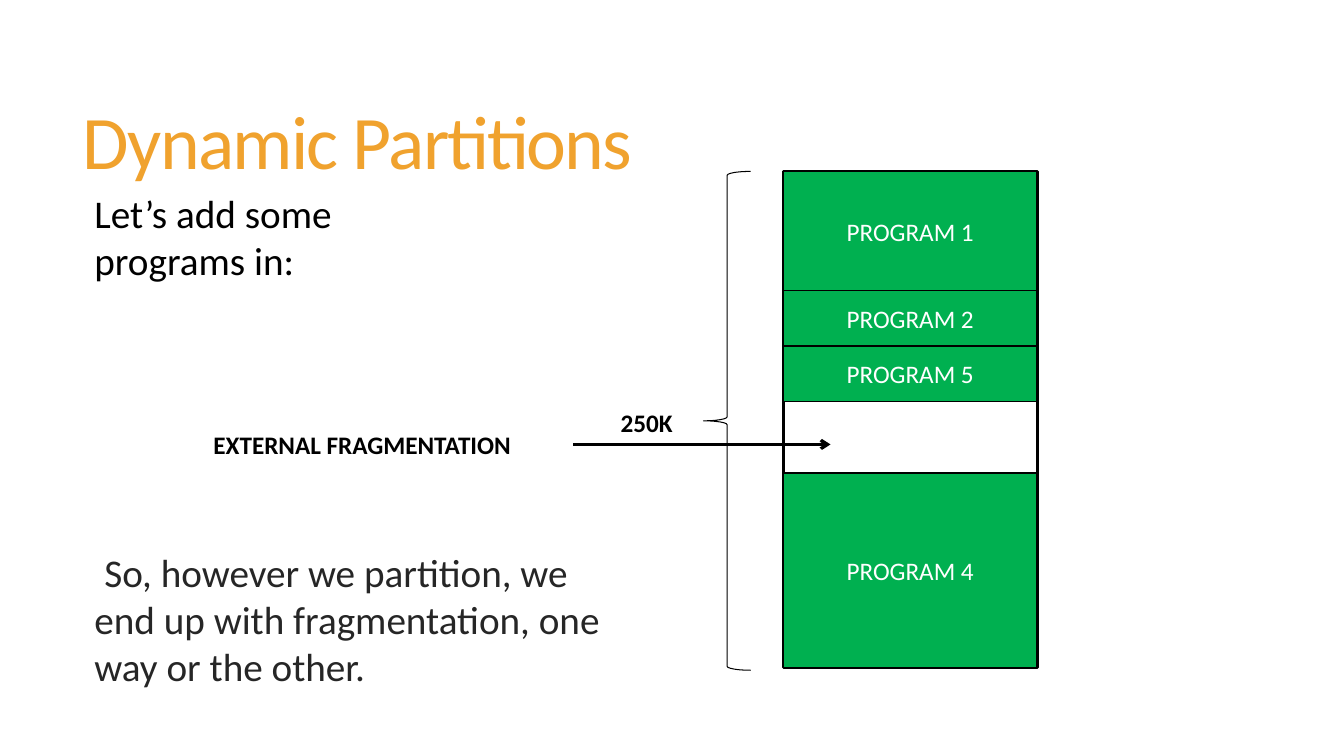
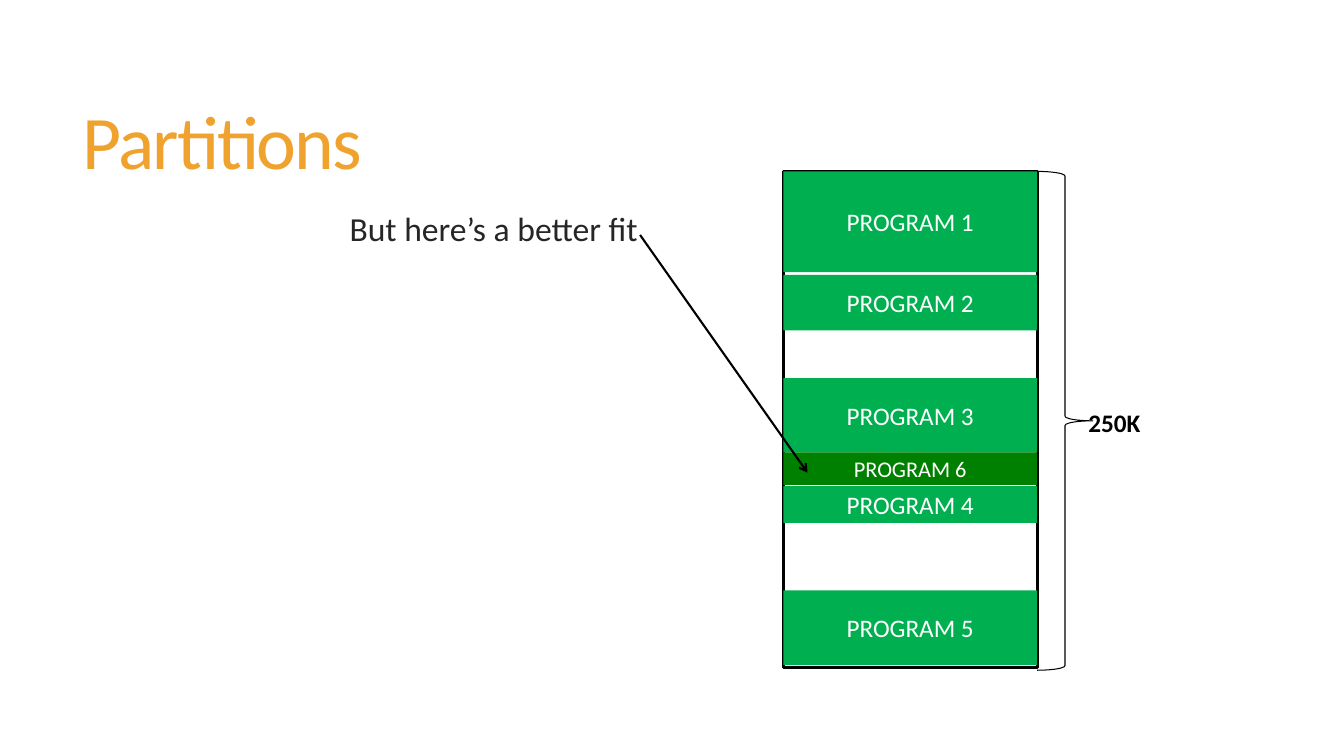
from lxml.etree import SubElement
from pptx import Presentation
from pptx.dml.color import RGBColor
from pptx.enum.shapes import MSO_CONNECTOR, MSO_SHAPE
from pptx.enum.text import MSO_ANCHOR, MSO_AUTO_SIZE, PP_ALIGN
from pptx.oxml.ns import qn
from pptx.util import Cm, Pt

COLORS = {"title": "F0A22E", "program": "00B050", "new": "008000",
          "ink": "000000", "body": "262626", "white": "FFFFFF"}
FONT = "Calibri"
MEM_LEFT, MEM_TOP, MEM_WIDTH, MEM_HEIGHT = 19.74, 4.32, 6.4, 12.5
BRACE_HEIGHT = 12.57


class Deck:
    """Holds the shared style and the slide being drawn."""

    def __init__(self):
        self.prs = Presentation()
        self.prs.slide_width, self.prs.slide_height = Cm(33.87), Cm(19.05)
        self.s = None

    def color(self, name):
        return RGBColor.from_string(COLORS[name])

    def style(self, p, size, color, bold=False):
        p.font.name, p.font.size, p.font.bold = FONT, Pt(size), bold
        p.font.color.rgb = self.color(color)

    def slide(self, title):
        self.s = self.prs.slides.add_slide(self.prs.slide_layouts[5])
        sp = self.s.shapes.title
        sp.left, sp.top, sp.width, sp.height = Cm(1.83), Cm(1.4), Cm(29.92), Cm(4.6)
        tf = sp.text_frame
        tf.text = title
        tf.auto_size = MSO_AUTO_SIZE.NONE
        tf.vertical_anchor = MSO_ANCHOR.MIDDLE
        p = tf.paragraphs[0]
        p.alignment, p.line_spacing = PP_ALIGN.LEFT, 0.85
        self.style(p, 54, "title")
        p._p.pPr.find(qn("a:defRPr")).set("spc", "-120")

    def text(self, text, x, y, w, h, size=18, color="ink", bold=False,
             indent=0, spacing=None):
        tf = self.s.shapes.add_textbox(Cm(x), Cm(y), Cm(w), Cm(h)).text_frame
        tf.word_wrap = True
        tf.text = text
        p = tf.paragraphs[0]
        if indent:
            p._p.get_or_add_pPr().set("indent", str(Cm(indent)))
        if spacing:
            p.line_spacing = spacing
        self.style(p, size, color, bold)

    def shape(self, kind, x, y, w, h, fill=None, line=None):
        sp = self.s.shapes.add_shape(kind, Cm(x), Cm(y), Cm(w), Cm(h))
        sp.shadow.inherit = False
        if fill:
            sp.fill.solid()
            sp.fill.fore_color.rgb = self.color(fill)
        else:
            sp.fill.background()
        if line:
            sp.line.color.rgb = self.color("ink")
            sp.line.width = Pt(line)
        else:
            sp.line.fill.background()
        return sp

    def brace(self, kind, x, w):
        self.shape(kind, x, MEM_TOP, w, BRACE_HEIGHT, line=0.75)

    def memory(self, blocks, line=None):
        self.shape(MSO_SHAPE.RECTANGLE, MEM_LEFT, MEM_TOP, MEM_WIDTH, MEM_HEIGHT, line=2.25)
        y = MEM_TOP
        for label, height, *look in blocks:
            if label:
                fill, size = look or ("program", 18)
                sp = self.shape(MSO_SHAPE.RECTANGLE, MEM_LEFT, y, MEM_WIDTH, height, fill, line)
                tf = sp.text_frame
                tf.text = label
                tf.vertical_anchor = MSO_ANCHOR.MIDDLE
                p = tf.paragraphs[0]
                p.alignment = PP_ALIGN.CENTER
                self.style(p, size, "white")
            y += height

    def arrow(self, x1, y1, x2, y2, width):
        c = self.s.shapes.add_connector(MSO_CONNECTOR.STRAIGHT, Cm(x1), Cm(y1), Cm(x2), Cm(y2))
        c.line.color.rgb = self.color("ink")
        c.line.width = Pt(width)
        SubElement(c.line._get_or_add_ln(), qn("a:tailEnd"), type="arrow")
        SubElement(c._element.spPr, qn("a:effectLst"))


def main():
    """Build both slides and save them."""
    deck = Deck()

    deck.slide("Dynamic Partitions")
    deck.memory([("PROGRAM 1", 3), ("PROGRAM 2", 1.4), ("PROGRAM 5", 1.4),
                 (None, 1.8), ("PROGRAM 4", 4.9)], line=1)
    deck.brace(MSO_SHAPE.LEFT_BRACE, 17.73, 1.19)
    deck.text("250K", 15.39, 10.13, 2.16, 1.02, bold=True)
    deck.text("EXTERNAL FRAGMENTATION", 5.13, 10.69, 9.32, 1.02, bold=True)
    deck.arrow(14.45, 11.2, 20.93, 11.2, 2.25)
    deck.text("So, however we partition, we end up with fragmentation, one way or the other.",
              2.13, 13.69, 13.69, 4.62, size=28, color="body", indent=0.25)
    deck.text("Let’s add some programs in:", 2.13, 4.65, 7.85, 3.38, size=28)

    deck.slide("Partitions")
    deck.memory([("PROGRAM 1", 2.54), (None, 0.07), ("PROGRAM 2", 1.4), (None, 1.2),
                 ("PROGRAM 3", 1.87), ("PROGRAM 6", 0.82, "new", 16), (None, 0.03),
                 ("PROGRAM 4", 0.93), (None, 1.7), ("PROGRAM 5", 1.88)])
    deck.brace(MSO_SHAPE.RIGHT_BRACE, MEM_LEFT + MEM_WIDTH, 1.4)
    deck.text("250K", 27.18, 10.13, 2.16, 1.02, bold=True)
    deck.arrow(16.13, 5.92, 20.35, 11.91, 1.5)
    deck.text("But here’s a better fit", 8.31, 5.26, 11.43, 12.57, size=24,
              color="body", indent=0.25, spacing=0.85)

    deck.prs.save("out.pptx")


if __name__ == "__main__":
    main()
